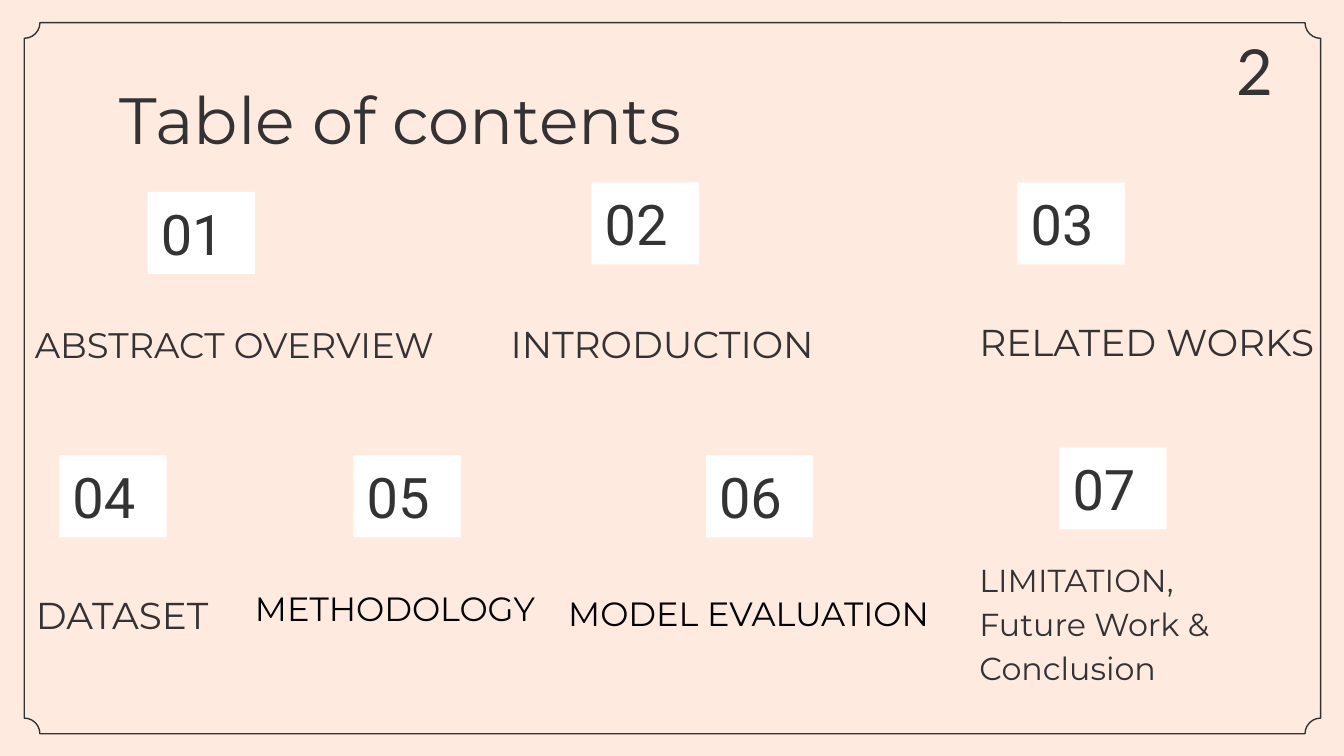
from collections import namedtuple

from pptx import Presentation
from pptx.dml.color import RGBColor
from pptx.enum.shapes import MSO_SHAPE as Preset
from pptx.enum.text import MSO_ANCHOR as Anchor, MSO_AUTO_SIZE as AutoSize, PP_ALIGN as Align
from pptx.util import Cm, Pt

PEACH = RGBColor(0xFF, 0xEA, 0xE0)
WHITE = RGBColor(0xFF, 0xFF, 0xFF)
CHARCOAL = RGBColor(0x33, 0x33, 0x33)
BLACK = RGBColor(0, 0, 0)
INSET = Cm(0.25)
TILE_SIZE = (2.03, 1.55)

Entry = namedtuple("Entry", "tile heading box size spacing color anchor",
                   defaults=(1.0, CHARCOAL, Anchor.BOTTOM))

# Tile corners and heading boxes are in centimetres, in reading order.
ENTRIES = [
    Entry((2.79, 3.63), "ABSTRACT OVERVIEW", (0.41, 5.21, 9.22, 1.96), 19),
    Entry((11.18, 3.45), "INTRODUCTION", (9.4, 5.82, 8.64, 1.35), 20),
    Entry((19.23, 3.45), "RELATED WORKS", (18.26, 5.79, 7.14, 1.35), 20),
    Entry((1.12, 8.61), "DATASET", (0.43, 10.01, 6.78, 2.29), 20, 1.15),
    Entry((6.68, 8.61), "METHODOLOGY", (4.57, 10.16, 9.22, 1.96), 18, 1.15, BLACK),
    Entry((13.34, 8.61), "MODEL EVALUATION", (10.49, 10.85, 8.33, 1.27), 18, 1.15,
          BLACK, Anchor.TOP),
    Entry((20.02, 8.46), "LIMITATION,\nFuture Work &\nConclusion",
          (18.26, 10.59, 6.9, 2.64), 17, 1.15),
]


def cm_box(box):
    return [Cm(length) for length in box]


def write(shape, text, *, size, font="Montserrat", color=CHARCOAL,
          anchor=Anchor.TOP, spacing=1.0):
    frame = shape.text_frame
    frame.text = text
    frame.word_wrap = True
    frame.auto_size = AutoSize.NONE
    frame.vertical_anchor = anchor
    frame.margin_left = frame.margin_right = INSET
    frame.margin_top = frame.margin_bottom = INSET
    for paragraph in frame.paragraphs:
        paragraph.alignment = Align.LEFT
        paragraph.line_spacing = spacing
        paragraph.space_before = paragraph.space_after = Pt(0)
        for run in paragraph.runs:
            run.font.name = font
            run.font.size = Pt(size)
            run.font.color.rgb = color


def add_border(slide, box):
    border = slide.shapes.add_shape(Preset.PLAQUE, *cm_box(box))
    border.adjustments[0] = 0.022
    border.shadow.inherit = False
    border.fill.background()
    border.line.color.rgb = CHARCOAL
    border.line.width = Pt(0.75)


def place_title(slide, box, text):
    title = slide.shapes.title
    title.left, title.top, title.width, title.height = cm_box(box)
    write(title, text, size=35)


def add_page_number(slide, box, number):
    write(slide.shapes.add_textbox(*cm_box(box)), number, size=34, font="Lato")


def add_number_tile(slide, box, number):
    tile = slide.shapes.add_shape(Preset.RECTANGLE, *cm_box(box))
    tile.shadow.inherit = False
    tile.fill.solid()
    tile.fill.fore_color.rgb = WHITE
    tile.line.fill.background()
    write(tile, f"{number:02}", size=30, font="Roboto", anchor=Anchor.MIDDLE)


def add_entry(slide, number, entry):
    add_number_tile(slide, entry.tile + TILE_SIZE, number)
    heading = slide.shapes.add_textbox(*cm_box(entry.box))
    write(heading, entry.heading, size=entry.size, color=entry.color,
          anchor=entry.anchor, spacing=entry.spacing)


def build_contents(slide):
    slide.background.fill.solid()
    slide.background.fill.fore_color.rgb = PEACH
    add_border(slide, (0.46, 0.43, 24.5, 13.44))
    place_title(slide, (2.01, 1.24, 21.41, 1.6), "Table of contents")
    for number, entry in enumerate(ENTRIES, start=1):
        add_entry(slide, number, entry)
    add_page_number(slide, (23.11, 0.36, 2.1, 1.96), "2")


def main():
    deck = Presentation()
    deck.slide_width, deck.slide_height = Cm(25.4), Cm(14.29)
    title_only = deck.slide_layouts[5]
    build_contents(deck.slides.add_slide(title_only))
    deck.save("out.pptx")


if __name__ == "__main__":
    main()
